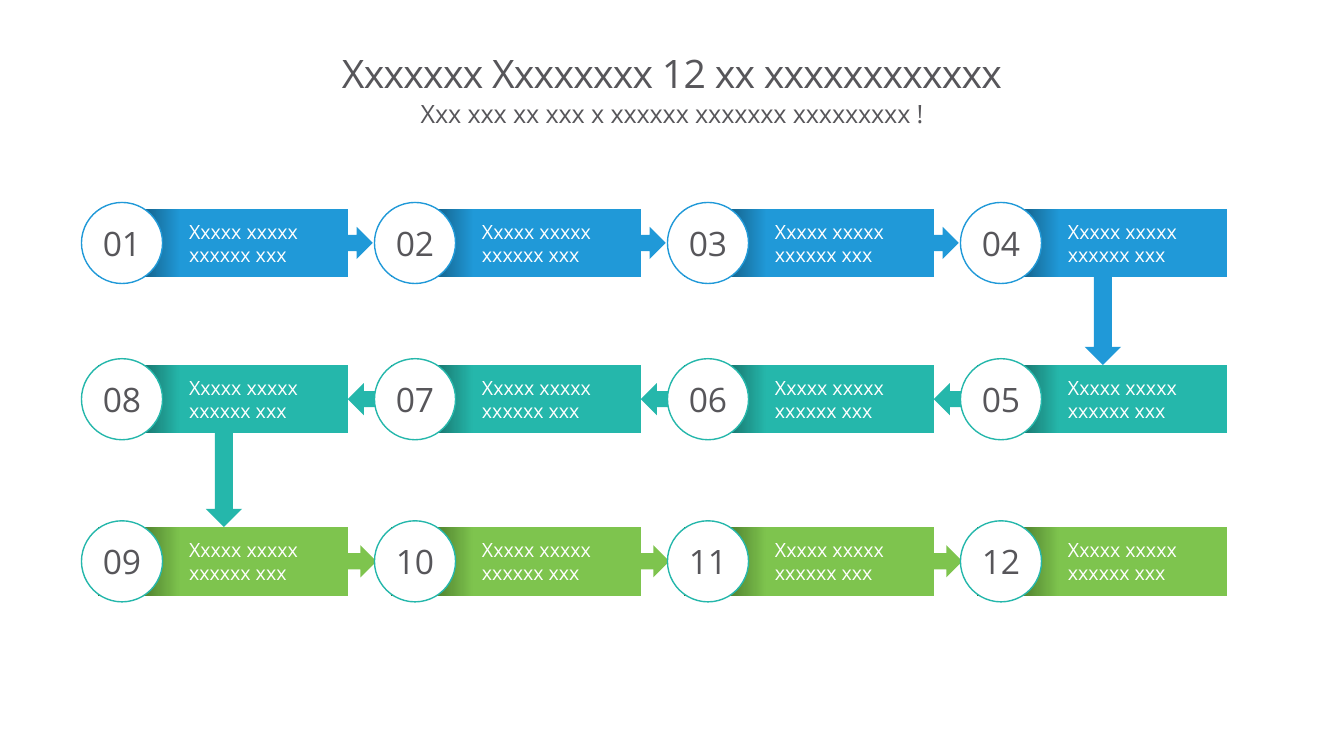
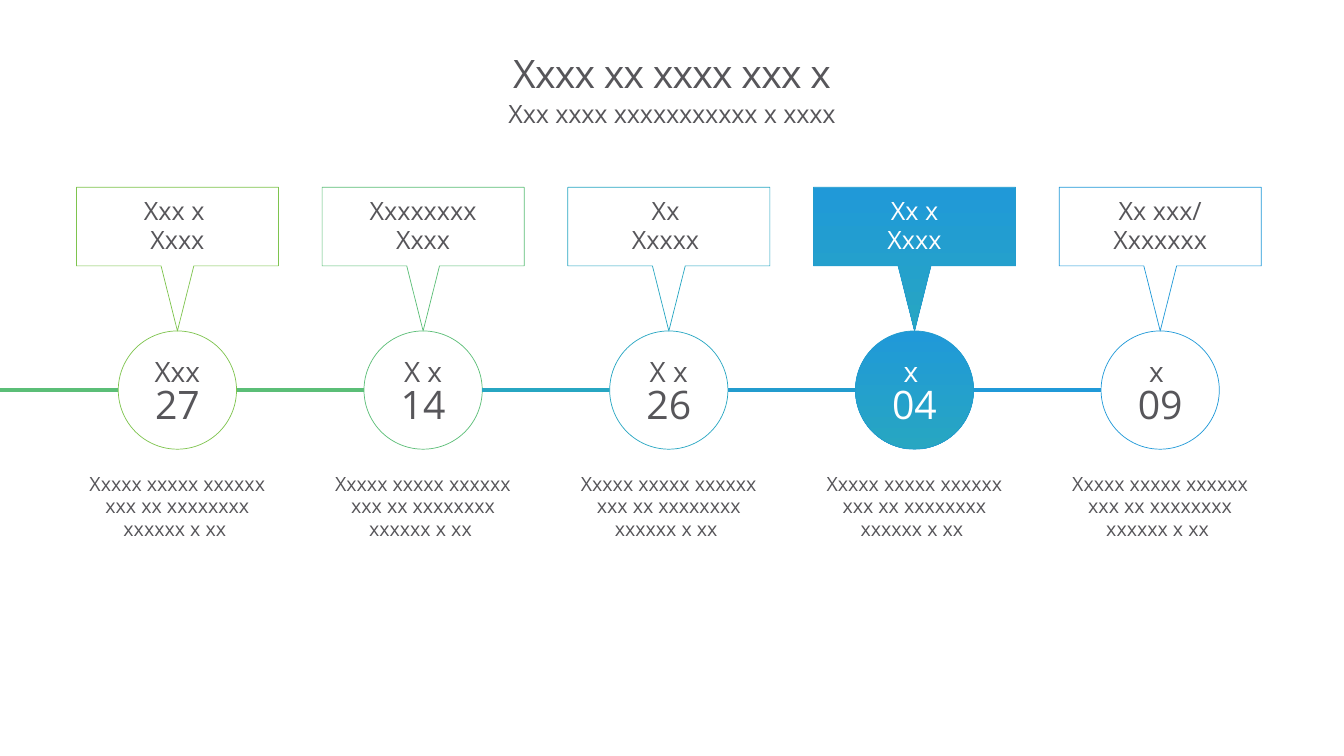
from pptx import Presentation
from pptx.dml.color import RGBColor
from pptx.enum.shapes import MSO_CONNECTOR, MSO_SHAPE
from pptx.enum.text import MSO_ANCHOR, MSO_AUTO_SIZE, PP_ALIGN
from pptx.oxml.ns import qn
from pptx.util import Inches, Pt
from lxml.etree import SubElement

CELL = Inches(1) // 12
COLUMNS, ROWS = 160, 90
FONT = "Open Sans"
GREY, WHITE = "57565A", "FFFFFF"
BLUE, TEAL, GREEN = "2099D8", "25B7AB", "7EC44E"
MINT, CYAN, AZURE = "5BBE77", "27A6C2", "239CCE"
HIGHLIGHT = ((0, BLUE), (1, CYAN))

TITLE_BOX = (12, 3.72, 136, 10.68)
SUBTITLE_BOX = (12, 12.24, 136, 5.28)

STEP_PITCH, STEP_LEFT = 34.88, 9.7
STEP_CIRCLE, BAR_INSET = 9.65, 0.75
STEP_TEXT = "Xxxxx xxxxx xxxxxx xxx"
STEP_ROWS = [
    {"top": 24.1, "numbers": (1, 2, 3, 4), "color": BLUE, "shade": "104C6C",
     "ring": BLUE, "arrow": MSO_SHAPE.RIGHT_ARROW, "arrow_left": 29.76},
    {"top": 42.7, "numbers": (8, 7, 6, 5), "color": TEAL, "shade": "135C56",
     "ring": TEAL, "arrow": MSO_SHAPE.LEFT_ARROW, "arrow_left": 31.7},
    {"top": 62, "numbers": (9, 10, 11, 12), "color": GREEN, "shade": "3E6722",
     "ring": TEAL, "arrow": MSO_SHAPE.RIGHT_ARROW, "arrow_left": 30.2},
]
TURNS = [(0, 3), (1, 0)]

EVENT_PITCH, EVENT_BOX = 29.25, (9.1, 22.3, 24.05, 42.75)
EVENT_CIRCLE = 14.08
EVENT_TEXT = "Xxxxx xxxxx xxxxxx xxx xx xxxxxxxx xxxxxx x xx "
EVENTS = [
    (("Xxx x ", "Xxxx"), ("Xxx", "27"), GREEN, WHITE, GREY),
    (("Xxxxxxxx", "Xxxx"), ("X x", "14"), MINT, WHITE, GREY),
    (("Xx ", "Xxxxx "), ("X x", "26"), CYAN, WHITE, GREY),
    (("Xx x", "Xxxx"), ("x ", "04"), AZURE, HIGHLIGHT, WHITE),
    (("Xx xxx/", "Xxxxxxx"), ("x ", "09"), BLUE, WHITE, GREY),
]


def cells(*values):
    return [round(value * CELL) for value in values]


def rgb(hex_color):
    return RGBColor.from_string(hex_color)


def apply(target, values):
    for name, value in values.items():
        setattr(target, name, value)


def paint(shape, fill, line=None, weight=1, angle=270):
    shape.shadow.inherit = False
    if isinstance(fill, str):
        shape.fill.solid()
        shape.fill.fore_color.rgb = rgb(fill)
    else:
        shape.fill.gradient()
        shape.fill.gradient_angle = angle
        for stop, (position, color) in zip(shape.fill.gradient_stops, fill):
            stop.position = position
            stop.color.rgb = rgb(color)
    if line:
        shape.line.color.rgb = rgb(line)
        shape.line.width = Pt(weight)
    else:
        shape.line.fill.background()


def write(shape, lines, color, align=PP_ALIGN.CENTER, anchor=MSO_ANCHOR.MIDDLE,
          wrap=True, insets=(1.2, 0.6, 1.2, 0.6), spacing=1.0, indent=0, tracking=0):
    frame = shape.text_frame
    left, top, right, bottom = cells(*insets)
    apply(frame, {"word_wrap": wrap, "auto_size": MSO_AUTO_SIZE.NONE,
                  "vertical_anchor": anchor, "margin_left": left, "margin_top": top,
                  "margin_right": right, "margin_bottom": bottom})
    for index, (text, size) in enumerate(lines):
        paragraph = frame.add_paragraph() if index else frame.paragraphs[0]
        apply(paragraph, {"alignment": align, "line_spacing": spacing})
        if indent:
            paragraph._p.get_or_add_pPr().set("marL", str(cells(indent)[0]))
        run = paragraph.add_run()
        run.text = text
        apply(run.font, {"name": FONT, "size": Pt(size)})
        run.font.color.rgb = rgb(color)
        if tracking:
            run._r.get_or_add_rPr().set("spc", str(tracking))


def add_preset(slide, kind, box, fill, **style):
    shape = slide.shapes.add_shape(kind, *cells(*box))
    paint(shape, fill, **style)
    return shape


def add_titled_slide(presentation, title, subtitle):
    slide = presentation.slides.add_slide(presentation.slide_layouts[5])
    heading = slide.shapes.title
    left, top, width, height = cells(*TITLE_BOX)
    apply(heading, {"left": left, "top": top, "width": width, "height": height})
    style = {"insets": (0, 0, 0, 0), "spacing": 0.86}
    write(heading, [(title, 28)], GREY, tracking=-50, **style)
    subheading = slide.shapes.add_textbox(*cells(*SUBTITLE_BOX))
    write(subheading, [(subtitle, 18)], GREY, anchor=MSO_ANCHOR.TOP, tracking=-10, **style)
    return slide


def add_step_arrow(slide, left, top, row):
    middle = top + STEP_CIRCLE / 2
    add_preset(slide, row["arrow"],
               (left + row["arrow_left"], middle - 1.92, 4.92, 3.84), row["color"])


def add_turn_arrow(slide, left, next_top, color):
    height = 13.8
    add_preset(slide, MSO_SHAPE.DOWN_ARROW,
               (left + 14.8, next_top + BAR_INSET - height, 4.32, height), color)


def add_step(slide, left, top, number, row):
    bar = add_preset(slide, MSO_SHAPE.RECTANGLE,
                     (left + 2, top + BAR_INSET, 29.76, STEP_CIRCLE - 2 * BAR_INSET),
                     ((0.67, row["color"]), (0.88, row["shade"])), angle=180)
    write(bar, [(STEP_TEXT, 14)], WHITE, align=PP_ALIGN.LEFT,
          insets=(3.24, 1.56, 3.24, 1.56), indent=7.56)
    circle = add_preset(slide, MSO_SHAPE.OVAL, (left, top, STEP_CIRCLE, STEP_CIRCLE),
                        WHITE, line=row["ring"])
    write(circle, [(f"{number:02}", 24)], GREY, wrap=False)


def build_process(presentation):
    slide = add_titled_slide(presentation, "Xxxxxxx Xxxxxxxx 12 xx xxxxxxxxxxxx",
                             "Xxx xxx xx xxx x xxxxxx xxxxxxx xxxxxxxxx !")
    lefts = [STEP_LEFT + STEP_PITCH * column for column in range(4)]
    for row_index, column in TURNS:
        add_turn_arrow(slide, lefts[column], STEP_ROWS[row_index + 1]["top"],
                       STEP_ROWS[row_index]["color"])
    for row in STEP_ROWS:
        for left in lefts[:-1]:
            add_step_arrow(slide, left, row["top"], row)
        for left, number in zip(lefts, row["numbers"]):
            add_step(slide, left, row["top"], number, row)


def add_callout(slide, box, lines, fill, line, color):
    left, top, width, height = box
    right, base, center = left + width, top + 9.36, left + width / 2
    outline = [(right, top), (right, base), (center + 1.95, base),
               (center, top + height), (center - 1.95, base), (left, base)]
    builder = slide.shapes.build_freeform(*cells(left, top))
    builder.add_line_segments([cells(*point) for point in outline], close=True)
    callout = builder.convert_to_shape()
    paint(callout, fill, line, 0.5)
    write(callout, [(text, 18) for text in lines], color, anchor=MSO_ANCHOR.TOP,
          insets=(1.2, 1.2, 1.2, 0.96), spacing=0.95)


def add_event(slide, box, callout, date, line, fill, color):
    left, top, width, height = box
    circle_top = top + height * 0.4
    circle = add_preset(slide, MSO_SHAPE.OVAL,
                        (left + (width - EVENT_CIRCLE) / 2, circle_top,
                         EVENT_CIRCLE, EVENT_CIRCLE), fill, line=line, weight=0.5)
    write(circle, list(zip(date, (20, 28))), color, wrap=False,
          insets=(0, 1.68, 0, 0.84), spacing=0.85)
    add_callout(slide, (left, top, width, circle_top - top), callout, fill, line, color)
    description = slide.shapes.add_textbox(*cells(left, top + 33.5, width, 9.25))
    write(description, [(EVENT_TEXT, 14)], GREY, anchor=MSO_ANCHOR.TOP, spacing=0.95)


def add_timeline_segment(slide, start, end, middle, color):
    segment = slide.shapes.add_connector(MSO_CONNECTOR.STRAIGHT,
                                         *cells(start, middle, end, middle))
    segment.line.color.rgb = rgb(color)
    segment.line.width = Pt(3)
    SubElement(segment._element.spPr, qn("a:effectLst"))


def build_timeline(presentation):
    slide = add_titled_slide(presentation, "Xxxx xx xxxx xxx x",
                             "Xxx xxxx xxxxxxxxxxx x xxxx")
    left, top, width, height = EVENT_BOX
    middle = top + height * 0.4 + EVENT_CIRCLE / 2
    start = 0
    for index, event in enumerate(EVENTS):
        event_left = left + EVENT_PITCH * index
        circle_left = event_left + (width - EVENT_CIRCLE) / 2
        add_timeline_segment(slide, start, circle_left, middle, EVENTS[max(index, 1)][2])
        add_event(slide, (event_left, top, width, height), *event)
        start = circle_left + EVENT_CIRCLE


def main():
    presentation = Presentation()
    presentation.slide_width, presentation.slide_height = cells(COLUMNS, ROWS)
    build_process(presentation)
    build_timeline(presentation)
    presentation.save("out.pptx")


if __name__ == "__main__":
    main()
